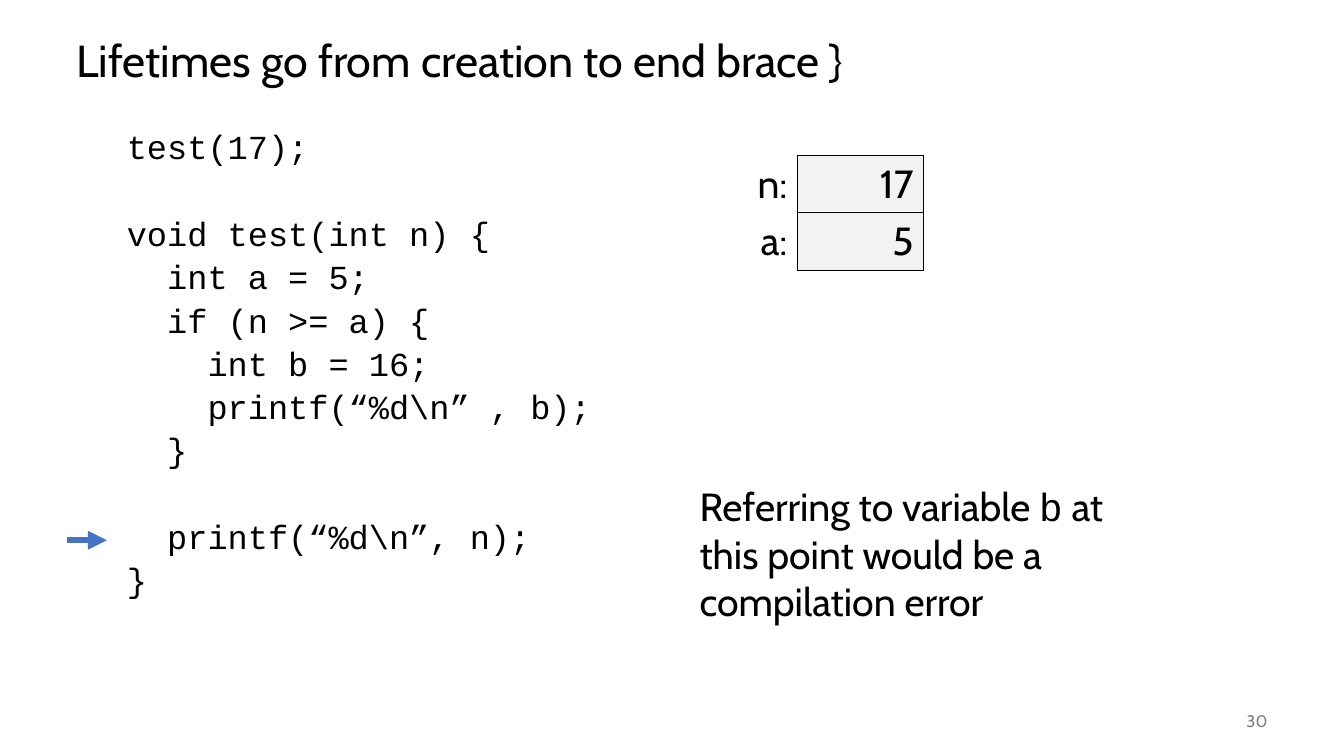
from lxml import etree
from pptx import Presentation
from pptx import util as u
from pptx.dml.color import RGBColor
from pptx.enum import shapes, text
from pptx.oxml.ns import qn

WIDTH, HEIGHT = 13.33, 7.5
LEFT, CONTENT_WIDTH = 0.66, 12
BODY_FONT, CODE_FONT = "Cabin", "Courier New"
COLORS = {"ink": "000000", "muted": "808080", "cell": "F2F2F2", "arrow": "4472C4"}
NO_STYLE = "{2D5ABB26-0587-4C30-8999-92F81FD0307C}"
LINE_GAP, BLANK_LINE = 5, 31
CODE = """test(17);

void test(int n) {
  int a = 5;
  if (n >= a) {
    int b = 16;
    printf(“%d\\n” , b);
  }

  printf(“%d\\n”, n);
}"""
VARIABLES = [("n:", "17"), ("a:", "5")]


def color(name):
    return RGBColor.from_string(COLORS[name])


def set_font(font, size, name=BODY_FONT, ink="ink"):
    font.size = u.Pt(size)
    font.name = name
    font.color.rgb = color(ink)


def add_text(slide, left, top, width, height, anchor=text.MSO_ANCHOR.TOP):
    shape = slide.shapes.add_textbox(*map(u.Inches, (left, top, width, height)))
    frame = shape.text_frame
    frame.word_wrap = True
    frame.vertical_anchor = anchor
    return frame


def add_title(slide, title):
    frame = add_text(slide, LEFT, 0.25, CONTENT_WIDTH, 0.75, text.MSO_ANCHOR.MIDDLE)
    paragraph = frame.paragraphs[0]
    paragraph.text = title
    paragraph.line_spacing = 0.9
    set_font(paragraph.font, 32)


def add_code(slide, code):
    frame = add_text(slide, LEFT + 0.5, 1.25, CONTENT_WIDTH - 0.5, 5.5)
    paragraph, gap = frame.paragraphs[0], 0
    for index, line in enumerate(code.splitlines()):
        if not line:
            gap += BLANK_LINE
            continue
        if index:
            paragraph = frame.add_paragraph()
        paragraph.text = line
        paragraph.line_spacing = 0.9
        paragraph.space_before = u.Pt(gap)
        set_font(paragraph.font, 24, CODE_FONT)
        gap = LINE_GAP


def add_borders(cell):
    properties = cell._tc.get_or_add_tcPr()
    for index, side in enumerate(("lnL", "lnR", "lnT", "lnB")):
        line = etree.Element(qn(f"a:{side}"), w=str(u.Pt(1)))
        fill = etree.SubElement(line, qn("a:solidFill"))
        etree.SubElement(fill, qn("a:srgbClr"), val=COLORS["ink"])
        properties.insert(index, line)


def add_variables(slide, variables):
    column, row = 1.25, 0.57
    size = (2 * column, len(variables) * row)
    frame = slide.shapes.add_table(
        len(variables), 2, *map(u.Inches, (6.66, 1.54, *size)))
    table = frame.table
    table.first_row = table.horz_banding = False
    table._tbl.tblPr.find(qn("a:tableStyleId")).text = NO_STYLE
    for row_index, values in enumerate(variables):
        for column_index, value in enumerate(values):
            cell = table.cell(row_index, column_index)
            paragraph = cell.text_frame.paragraphs[0]
            paragraph.text = value
            paragraph.alignment = text.PP_ALIGN.RIGHT
            set_font(paragraph.font, 28)
            if column_index:
                cell.fill.solid()
                cell.fill.fore_color.rgb = color("cell")
                add_borders(cell)
            else:
                cell.fill.background()


def add_arrow(slide, left, top, length):
    arrow = slide.shapes.add_connector(
        shapes.MSO_CONNECTOR.STRAIGHT,
        *map(u.Inches, (left, top, left + length, top)))
    arrow.line.color.rgb = color("arrow")
    arrow.line.width = u.Pt(4.5)
    etree.SubElement(arrow.line._get_or_add_ln(), qn("a:tailEnd"), type="triangle")
    etree.SubElement(arrow._element.spPr, qn("a:effectLst"))


def add_note(slide, parts):
    paragraph = add_text(slide, 6.84, 4.74, 4.23, 1.51).paragraphs[0]
    for words, font_name in parts:
        run = paragraph.add_run()
        run.text = words
        set_font(run.font, 28, font_name)


def add_page_number(slide, number):
    frame = add_text(slide, 11.67, 6.95, 1, 0.4, text.MSO_ANCHOR.MIDDLE)
    paragraph = frame.paragraphs[0]
    paragraph.text = number
    paragraph.alignment = text.PP_ALIGN.RIGHT
    set_font(paragraph.font, 12, ink="muted")


def main():
    presentation = Presentation()
    presentation.slide_width = u.Inches(WIDTH)
    presentation.slide_height = u.Inches(HEIGHT)
    slide = presentation.slides.add_slide(presentation.slide_layouts[6])
    add_title(slide, "Lifetimes go from creation to end brace }")
    add_code(slide, CODE)
    add_page_number(slide, "30")
    add_variables(slide, VARIABLES)
    add_arrow(slide, LEFT, 5.36, 0.4)
    add_note(slide, [
        ("Referring to variable ", BODY_FONT),
        ("b", CODE_FONT),
        (" at this point would be a compilation error", BODY_FONT),
    ])
    presentation.save("out.pptx")


if __name__ == "__main__":
    main()
